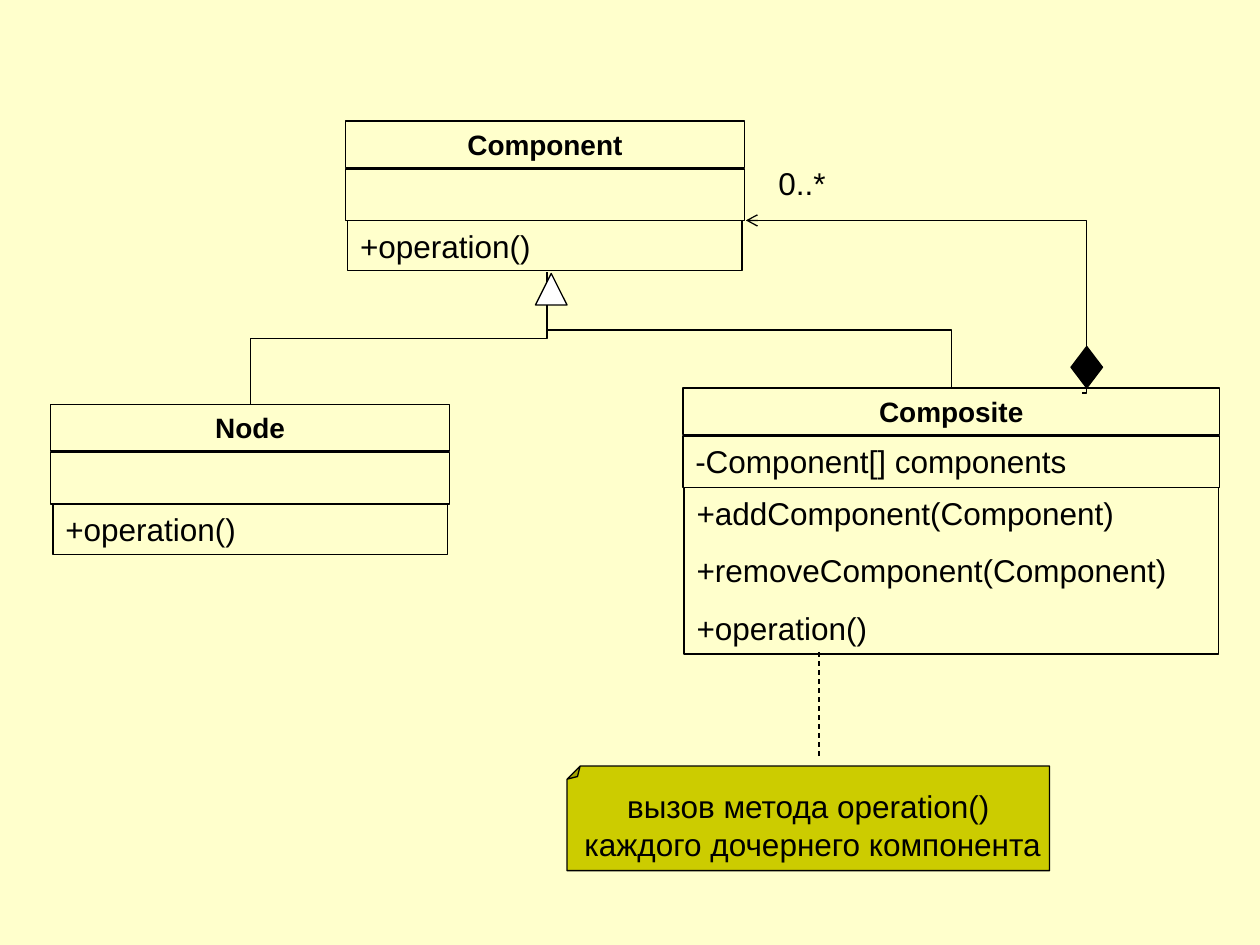
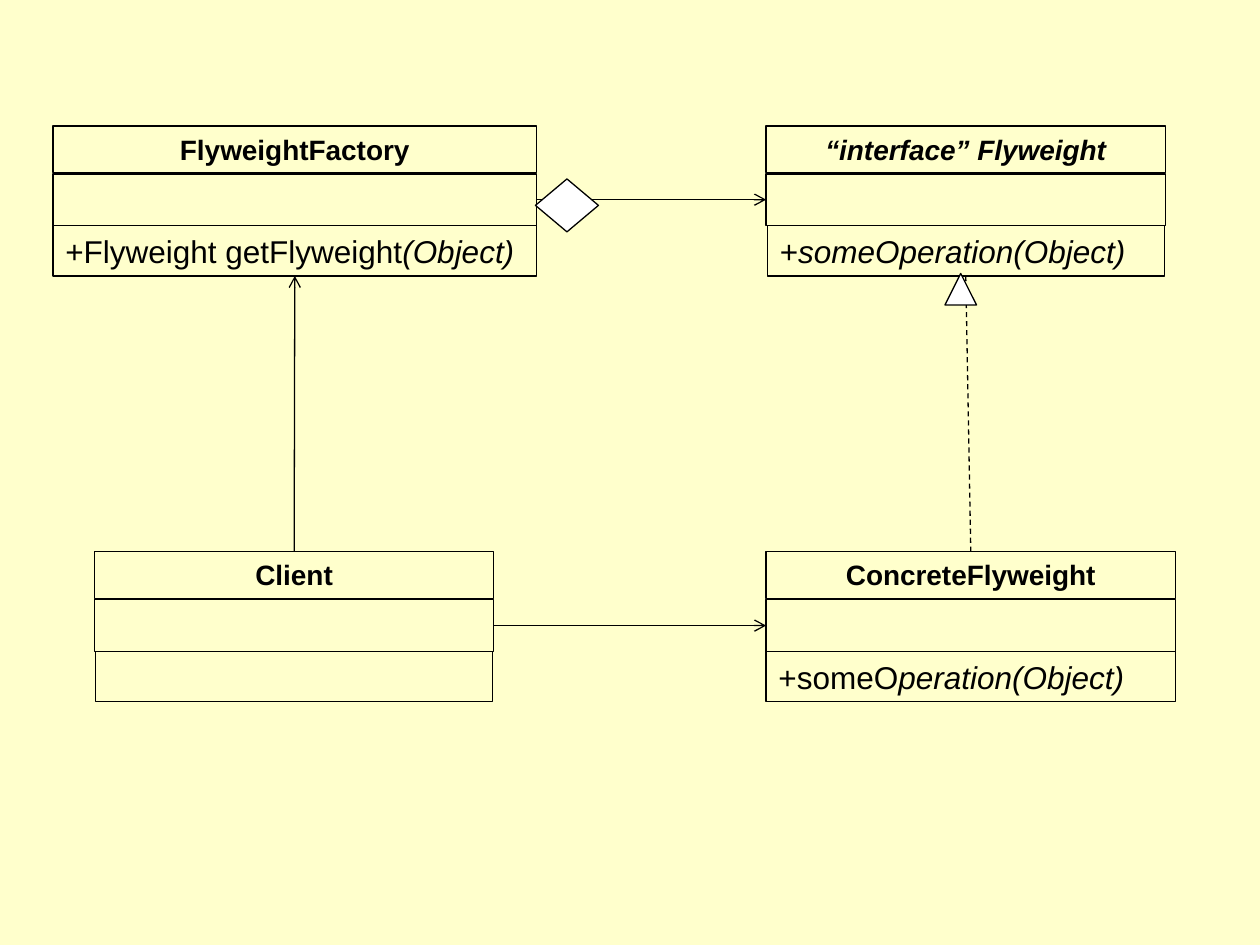
from dataclasses import dataclass

from lxml.etree import SubElement
from pptx import Presentation
from pptx.dml.color import RGBColor
from pptx.enum.dml import MSO_LINE
from pptx.enum.shapes import MSO_CONNECTOR, MSO_SHAPE
from pptx.enum.text import MSO_ANCHOR, PP_ALIGN
from pptx.oxml.ns import qn
from pptx.shapes.autoshape import Shape
from pptx.shapes.connector import Connector
from pptx.slide import Slide
from pptx.text.text import TextFrame
from pptx.util import Inches, Pt

COLORS = {"page": "FFFFCC", "ink": "000000", "note": "CCCC00", "white": "FFFFFF"}
FONT = "Arial"
HEAD, BODY = 16, 18
TOP, LEFT, BOTTOM, RIGHT = range(4)
HALF_TURN = "10800000"
QUARTER_TURN = "5400000"

Point = tuple[float, float]
Line = tuple[str, str]  # upright part, then italic part


@dataclass
class Box:
    """A class in three parts: name, fields and methods."""
    name: str
    left: float
    top: float
    width: float
    fields: tuple[Line, ...] = ()
    methods: tuple[Line, ...] = ()
    inset: float = 0.01
    slant: bool = False


@dataclass
class Mark:
    """A line end drawn as a shape."""
    kind: MSO_SHAPE
    left: float
    top: float
    width: float
    height: float
    fill: str = "white"


TREE = {
    "parent": Box("Component", 2.74, 0.96, 3.17, methods=(("+operation()", ""),), inset=0.02),
    "whole": Box("Composite", 5.42, 3.08, 4.26,
                 (("-Component[] components", ""),),
                 (("+addComponent(Component)", ""),
                  ("+removeComponent(Component)", ""),
                  ("+operation()", ""))),
    "leaf": Box("Node", 0.4, 3.21, 3.17, methods=(("+operation()", ""),), inset=0.02),
}
SHARED = {
    "type": Box("“interface” Flyweight", 6.08, 1, 3.17,
                methods=(("+", "someOperation(Object)"),), slant=True),
    "maker": Box("FlyweightFactory", 0.42, 1, 3.84,
                 methods=(("+Flyweight getFlyweight", "(Object)"),), inset=0),
    "client": Box("Client", 0.75, 4.38, 3.17),
    "real": Box("ConcreteFlyweight", 6.08, 4.38, 3.25,
                methods=(("+someO", "peration(Object)"),), inset=0),
}


def color(name: str) -> RGBColor:
    return RGBColor.from_string(COLORS[name])


def add_page(deck: Presentation) -> Slide:
    page = deck.slides.add_slide(deck.slide_layouts[6])
    page.background.fill.solid()
    page.background.fill.fore_color.rgb = color("page")
    return page


def adjust(item: Shape | Connector, name: str, value: int) -> None:
    """Set a preset's guide, in units of 1/100000."""
    guides = item.element.spPr.find(qn("a:prstGeom")).find(qn("a:avLst"))
    SubElement(guides, qn("a:gd"), name=name, fmla=f"val {value}")


def add_form(page: Slide, kind: MSO_SHAPE, left: float, top: float,
             width: float, height: float, fill: str = "") -> Shape:
    """Draw a thin black outline, filled if a colour is named."""
    form = page.shapes.add_shape(kind, Inches(left), Inches(top), Inches(width), Inches(height))
    form.shadow.inherit = False
    form.line.color.rgb = color("ink")
    form.line.width = Pt(0.75)
    if fill:
        form.fill.solid()
        form.fill.fore_color.rgb = color(fill)
    else:
        form.fill.background()
    return form


def add_mark(page: Slide, mark: Mark) -> None:
    add_form(page, mark.kind, mark.left, mark.top, mark.width, mark.height, mark.fill)


def write(frame: TextFrame, lines: tuple[Line, ...], size: int = BODY, gap: float = 0,
          bold: bool = False, align: PP_ALIGN = PP_ALIGN.LEFT) -> None:
    for index, (plain, slant) in enumerate(lines):
        para = frame.paragraphs[0] if index == 0 else frame.add_paragraph()
        para.alignment = align
        if index:
            para.space_before = Pt(gap)
        font = para.font
        font.name, font.size, font.bold = FONT, Pt(size), bold
        font.color.rgb = color("ink")
        if plain:
            para.add_run().text = plain
        if slant:
            run = para.add_run()
            run.text = slant
            run.font.italic = True


def add_box(page: Slide, box: Box) -> list[Shape]:
    """Draw the parts from top to bottom and return them."""
    name: Line = ("", box.name) if box.slant else (box.name, "")
    tall = 0.4 + 0.46 * max(len(box.methods) - 1, 0)
    rows = (((name,), 0, 0.37, 0), (box.fields, 0.38, 0.41, 0),
            (box.methods, 0.79, tall, box.inset))
    parts = []
    for index, (lines, drop, height, inset) in enumerate(rows):
        part = add_form(page, MSO_SHAPE.RECTANGLE, box.left + inset, box.top + drop,
                        box.width - 2 * inset, height)
        part.text_frame.vertical_anchor = MSO_ANCHOR.TOP
        if index == 0:
            write(part.text_frame, lines, HEAD, bold=True, align=PP_ALIGN.CENTER)
        else:
            write(part.text_frame, lines, gap=11.2)
        parts.append(part)
    return parts


def add_line(page: Slide, start: Point, end: Point, kind: MSO_CONNECTOR = MSO_CONNECTOR.STRAIGHT,
             arrow: bool = False, dash: bool = False) -> Connector:
    line = page.shapes.add_connector(kind, *(Inches(value) for value in (*start, *end)))
    line.line.color.rgb = color("ink")
    line.line.width = Pt(0.75)
    if dash:
        line.line.dash_style = MSO_LINE.DASH
    props = line.element.spPr
    if arrow:
        SubElement(props.find(qn("a:ln")), qn("a:tailEnd"), type="arrow")
    SubElement(props, qn("a:effectLst"))
    return line


def join(page: Slide, first: Shape, side: int, last: Shape, face: int,
         arrow: bool = False, dash: bool = False) -> None:
    line = add_line(page, (0, 0), (1, 1), arrow=arrow, dash=dash)
    line.begin_connect(first, side)
    line.end_connect(last, face)


def add_step(page: Slide, start: Point, end: Point) -> None:
    """Draw an elbow that leaves and arrives upright: a flat one turned by 90 degrees."""
    mid_x, mid_y = (start[0] + end[0]) / 2, (start[1] + end[1]) / 2
    half_x, half_y = (end[1] - start[1]) / 2, (start[0] - end[0]) / 2
    line = add_line(page, (mid_x - half_x, mid_y - half_y), (mid_x + half_x, mid_y + half_y),
                    MSO_CONNECTOR.ELBOW)
    line.element.spPr.find(qn("a:xfrm")).set("rot", QUARTER_TURN)


def add_note(page: Slide) -> None:
    note = add_form(page, MSO_SHAPE.FOLDED_CORNER, 4.5, 6.08, 3.83, 0.83, "note")
    adjust(note, "adj", 12500)
    note.rotation = 180
    frame = note.text_frame
    frame.word_wrap = False
    frame.vertical_anchor = MSO_ANCHOR.MIDDLE
    note.element.txBody.find(qn("a:bodyPr")).set("rot", HALF_TURN)
    write(frame, (("вызов метода operation()", ""), (" каждого дочернего компонента", "")),
          align=PP_ALIGN.CENTER)


def draw_tree(page: Slide) -> None:
    for box in TREE.values():
        add_box(page, box)
    for start in ((1.99, 3.21), (7.55, 3.08)):
        add_step(page, start, (4.34, 2.16))
    loop = add_line(page, (8.59, 3.12), (5.92, 1.75), MSO_CONNECTOR.ELBOW, arrow=True)
    adjust(loop, "adj1", -1200)
    add_mark(page, Mark(MSO_SHAPE.FLOWCHART_DECISION, 8.5, 2.75, 0.25, 0.33, "ink"))
    count = page.shapes.add_textbox(Inches(6.08), Inches(1.25), Inches(1.58), Inches(0.4))
    count.text_frame.word_wrap = True
    write(count.text_frame, (("0..*", ""),))
    add_note(page)
    add_line(page, (6.5, 6), (6.5, 5.17), dash=True)
    add_mark(page, Mark(MSO_SHAPE.ISOSCELES_TRIANGLE, 4.25, 2.17, 0.25, 0.25))


def draw_shared(page: Slide) -> None:
    parts = {key: add_box(page, box) for key, box in SHARED.items()}
    kind, maker, client, real = (parts[key] for key in ("type", "maker", "client", "real"))
    join(page, real[0], TOP, kind[2], BOTTOM, dash=True)
    join(page, client[1], RIGHT, real[1], LEFT, arrow=True)
    join(page, client[0], TOP, maker[2], BOTTOM, arrow=True)
    join(page, maker[1], RIGHT, kind[1], LEFT, arrow=True)
    add_mark(page, Mark(MSO_SHAPE.ISOSCELES_TRIANGLE, 7.5, 2.17, 0.25, 0.25))
    add_mark(page, Mark(MSO_SHAPE.FLOWCHART_DECISION, 4.25, 1.42, 0.5, 0.42))


def main() -> None:
    deck = Presentation()
    deck.slide_width, deck.slide_height = Inches(10), Inches(7.5)
    for draw in (draw_tree, draw_shared):
        draw(add_page(deck))
    deck.save("out.pptx")


if __name__ == "__main__":
    main()
